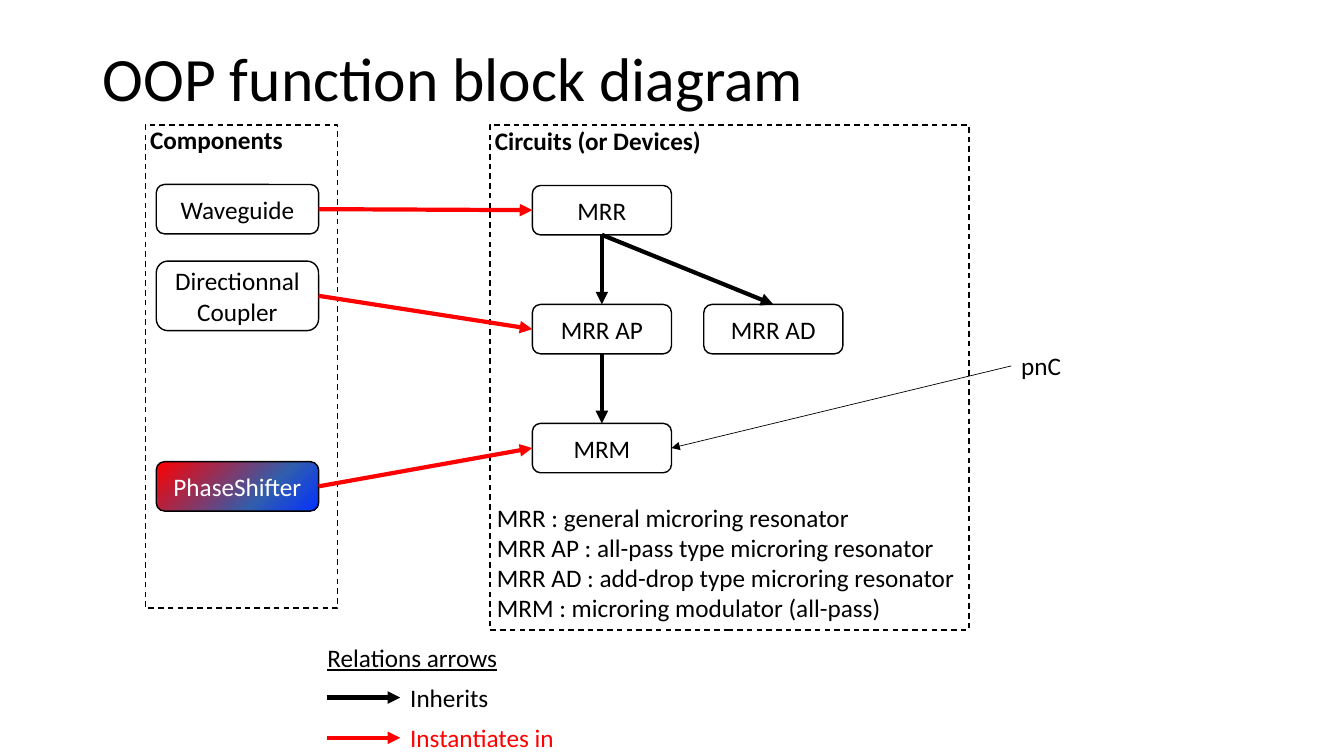
import copy

import pptx
import pptx.dml.color
import pptx.enum.dml
import pptx.enum.shapes
import pptx.enum.text
import pptx.oxml
import pptx.oxml.ns
import pptx.util

BLACK = pptx.dml.color.RGBColor(0x00, 0x00, 0x00)
WHITE = pptx.dml.color.RGBColor(0xFF, 0xFF, 0xFF)
RED = pptx.dml.color.RGBColor(0xFF, 0x00, 0x00)
STEEL = pptx.dml.color.RGBColor(0x31, 0x5E, 0xAD)
BLUE = pptx.dml.color.RGBColor(0x04, 0x32, 0xFF)

Inches = pptx.util.Inches
Pt = pptx.util.Pt
SHAPE = pptx.enum.shapes.MSO_SHAPE
ANCHOR = pptx.enum.text.MSO_ANCHOR
ALIGN = pptx.enum.text.PP_ALIGN

# Grid in inches: one component column, two circuit columns, three circuit rows
COMPONENT_LEFT, COMPONENT_WIDTH = 1.55, 1.61
CIRCUIT_LEFT, CIRCUIT_WIDTH, COLUMN_STEP = 5.28, 1.38, 1.7
TOP_ROW, ROW_STEP, BLOCK_HEIGHT = 1.84, 1.18, 0.49
LEGEND_LEFT, LEGEND_TOP, LEGEND_STEP, LEGEND_ARROW = 3.24, 6.32, 0.4, 0.73

deck = pptx.Presentation()
deck.slide_width, deck.slide_height = Inches(13.33), Inches(7.5)
page = deck.slides.add_slide(deck.slide_layouts[6])


def write(box, text, color=BLACK, size=18, bold=None, underline=None):
    box.text_frame.text = text
    for para in box.text_frame.paragraphs:
        for span in para.runs:
            span.font.name = "Calibri"
            span.font.size = Pt(size)
            span.font.color.rgb = color
            span.font.bold = bold
            span.font.underline = underline


def add_arrow(left, top, right, bottom, color=BLACK, weight=3):
    arrow = page.shapes.add_connector(
        pptx.enum.shapes.MSO_CONNECTOR.STRAIGHT,
        Inches(left), Inches(top), Inches(right), Inches(bottom))
    arrow.line.color.rgb = color
    arrow.line.width = Pt(weight)
    head = pptx.oxml.parse_xml(
        f'<a:tailEnd {pptx.oxml.ns.nsdecls("a")} type="triangle"/>')
    arrow.line._get_or_add_ln().append(head)
    arrow._element.spPr.append(
        pptx.oxml.parse_xml(f'<a:effectLst {pptx.oxml.ns.nsdecls("a")}/>'))
    return arrow


# Title
title = page.shapes.add_textbox(Inches(0.92), Inches(0.08), Inches(11.5), Inches(1.45))
title.text_frame.word_wrap = True
title.text_frame.vertical_anchor = ANCHOR.MIDDLE
write(title, "OOP function block diagram", size=44)
title.text_frame.paragraphs[0].line_spacing = 0.9

# Dashed frames
for left, width, height in [(1.44, 1.91, 4.79), (4.86, 4.75, 5.01)]:
    frame = page.shapes.add_shape(
        SHAPE.RECTANGLE, Inches(left), Inches(1.24), Inches(width), Inches(height))
    frame.shadow.inherit = False
    frame.fill.background()
    frame.line.color.rgb = BLACK
    frame.line.width = Pt(1)
    frame.line.dash_style = pptx.enum.dml.MSO_LINE.DASH

# Blocks
components = [("Waveguide", 1.83, BLOCK_HEIGHT),
              ("Directionnal Coupler", 2.59, 0.69),
              ("PhaseShifter", 4.58, BLOCK_HEIGHT)]
circuits = [("MRR", 0, 0), ("MRR AP", 0, 1), ("MRR AD", 1, 1), ("MRM", 0, 2)]
places = [(name, COMPONENT_LEFT, top, COMPONENT_WIDTH, height)
          for name, top, height in components]
places += [(name, CIRCUIT_LEFT + column * COLUMN_STEP, TOP_ROW + row * ROW_STEP,
            CIRCUIT_WIDTH, BLOCK_HEIGHT) for name, column, row in circuits]
blocks = {}
for name, *place in places:
    block = page.shapes.add_shape(
        SHAPE.ROUNDED_RECTANGLE, *[Inches(length) for length in place])
    block.shadow.inherit = False
    block.fill.background()
    block.line.color.rgb = BLACK
    block.line.width = Pt(1)
    block.text_frame.word_wrap = True
    block.text_frame.vertical_anchor = ANCHOR.MIDDLE
    write(block, name, WHITE if name == "PhaseShifter" else BLACK)
    block.text_frame.paragraphs[0].alignment = ALIGN.CENTER
    blocks[name] = block

# Three-stop gradient of the phase shifter
fill = blocks["PhaseShifter"].fill
fill.gradient()
fill.gradient_angle = 315
stop_list = blocks["PhaseShifter"]._element.spPr.find(
    ".//" + pptx.oxml.ns.qn("a:gsLst"))
stop_list.append(copy.deepcopy(stop_list[-1]))
for stop, color, position in zip(fill.gradient_stops, (RED, STEEL, BLUE), (0, 0.66, 1)):
    stop.color.rgb = color
    stop.position = position

# Labels
labels = [
    ("Components", 1.39, 1.18, 1.53, 0.4, {"bold": True}),
    ("Circuits (or Devices)", 4.81, 1.19, 2.27, 0.4, {"bold": True}),
    ("MRR : general microring resonator\n"
     "MRR AP : all-pass type microring resonator\n"
     "MRR AD : add-drop type microring resonator\n"
     "MRM : microring modulator (all-pass)", 4.83, 4.93, 4.79, 1.31, {}),
    ("pnC", 10.03, 3.43, 0.6, 0.4, {}),
    ("Relations arrows", 3.15, LEGEND_TOP, 1.9, 0.4, {"underline": True}),
]
legend = [("Inherits", 0.99, BLACK), ("Instantiates in", 1.64, RED)]
for row, (text, width, color) in enumerate(legend, start=1):
    top = LEGEND_TOP + row * LEGEND_STEP
    right = LEGEND_LEFT + LEGEND_ARROW
    add_arrow(LEGEND_LEFT, top + 0.2, right, top + 0.2, color)
    labels.append((text, right, top, width, 0.4, {"color": color}))
for text, *place, style in labels:
    label = page.shapes.add_textbox(*[Inches(length) for length in place])
    label.text_frame.word_wrap = False
    write(label, text, **style)
    blocks[text] = label

# Relations: sides are 0 top, 1 left, 2 bottom, 3 right
relations = [
    ("MRR", 2, "MRR AP", 0, BLACK, 3),
    ("MRR", 2, "MRR AD", 0, BLACK, 3),
    ("MRR AP", 2, "MRM", 0, BLACK, 3),
    ("Waveguide", 3, "MRR", 1, RED, 3),
    ("Directionnal Coupler", 3, "MRR AP", 1, RED, 3),
    ("PhaseShifter", 3, "MRM", 1, RED, 3),
    ("pnC", 1, "MRM", 3, BLACK, 0.5),
]
for source, source_side, target, target_side, color, weight in relations:
    arrow = add_arrow(0, 0, 1, 1, color, weight)
    arrow.begin_connect(blocks[source], source_side)
    arrow.end_connect(blocks[target], target_side)

deck.save("out.pptx")
